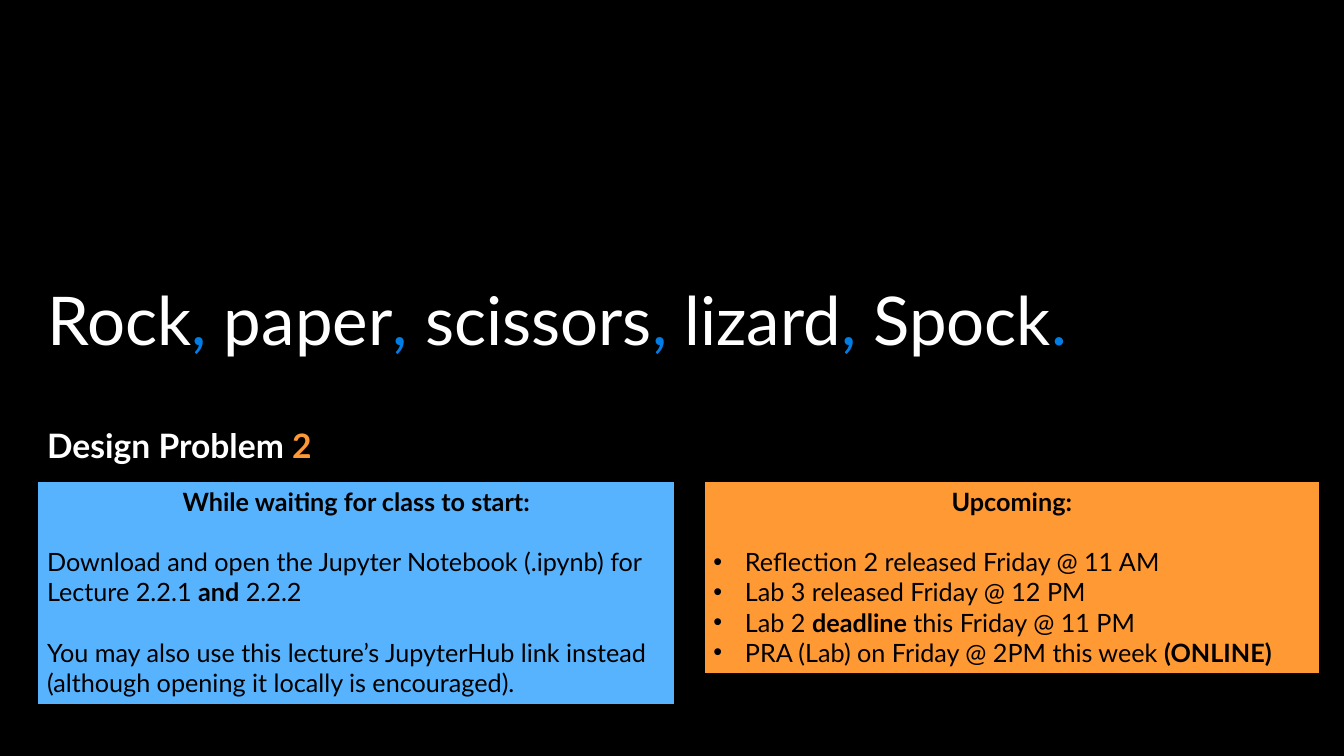
import dataclasses
import typing

import pptx
import pptx.dml.color
import pptx.enum.shapes
import pptx.enum.text
import pptx.oxml.ns
import pptx.util
from lxml import etree

Pt = pptx.util.Pt
Align = pptx.enum.text.PP_ALIGN
Anchor = pptx.enum.text.MSO_ANCHOR

HUES = {
    "black": "000000",
    "white": "FFFFFF",
    "mark": "017EE5",
    "orange": "FF9933",
    "blue": "58B3FE",
}
FRAME = {"word_wrap": True, "auto_size": pptx.enum.text.MSO_AUTO_SIZE.NONE}
GAP = 21.6
INDENT = 22.5


@dataclasses.dataclass(frozen=True)
class Piece:
    text: str
    hue: str = "black"
    bold: bool = False


@dataclasses.dataclass(frozen=True)
class Line:
    pieces: list[Piece]
    align: Align = Align.LEFT
    before: float = 0
    bullet: bool = False


@dataclasses.dataclass(frozen=True)
class Panel:
    left: float
    width: float
    height: float
    fill: str
    lines: list[Line]


def shade(name: str) -> pptx.dml.color.RGBColor:
    return pptx.dml.color.RGBColor.from_string(HUES[name])


def apply(thing: typing.Any, values: dict[str, typing.Any]) -> None:
    for key, value in values.items():
        setattr(thing, key, value)


def place(shape: typing.Any, left: float, top: float, width: float, height: float) -> None:
    apply(shape, {"left": Pt(left), "top": Pt(top), "width": Pt(width), "height": Pt(height)})


def add_bullet(para: typing.Any) -> None:
    props = para._p.get_or_add_pPr()
    for key, value in {"marL": INDENT, "indent": -INDENT}.items():
        props.set(key, str(int(Pt(value))))
    for tag, key, value in (("a:buFont", "typeface", "Arial"), ("a:buChar", "char", "•")):
        etree.SubElement(props, pptx.oxml.ns.qn(tag)).set(key, value)


def write(frame: typing.Any, lines: list[Line], size: float, space: float, anchor: Anchor) -> None:
    apply(frame, FRAME | {"vertical_anchor": anchor})
    for index, line in enumerate(lines):
        para = frame.add_paragraph() if index else frame.paragraphs[0]
        if line.bullet:
            add_bullet(para)
        apply(para, {"alignment": line.align, "line_spacing": space, "space_before": Pt(line.before)})
        for piece in line.pieces:
            run = para.add_run()
            run.text = piece.text
            apply(run.font, {"name": "Lato", "size": Pt(size), "bold": piece.bold})
            run.font.color.rgb = shade(piece.hue)


def draw_panel(slide: typing.Any, panel: Panel) -> None:
    kind = pptx.enum.shapes.MSO_SHAPE.RECTANGLE
    box = slide.shapes.add_shape(kind, 0, 0, 0, 0)
    place(box, panel.left, 343.5, panel.width, panel.height)
    box.shadow.inherit = False
    box.fill.solid()
    box.fill.fore_color.rgb = shade(panel.fill)
    box.line.color.rgb = shade("black")
    box.line.width = Pt(1.5)
    write(box.text_frame, panel.lines, 18, 1.0, Anchor.TOP)


def head(text: str) -> Line:
    return Line([Piece(text, bold=True)], Align.CENTER)


def item(*pieces: Piece, before: float = 0) -> Line:
    return Line(list(pieces), before=before, bullet=True)


TITLE = [
    piece
    for word, stop in zip(["Rock", " paper", " scissors", " lizard", " Spock"], ",,,,.")
    for piece in (Piece(word, "white"), Piece(stop, "mark"))
]
TOPIC = [Piece("Design Problem ", "white", True), Piece("2", "orange", True)]
PANELS = [
    Panel(502.5, 440.6, 138.2, "orange", [
        head("Upcoming:"),
        item(Piece("Reflection 2 released Friday @ 11 AM"), before=GAP),
        item(Piece("Lab 3 released Friday @ 12 PM")),
        item(Piece("Lab 2 "), Piece("deadline ", bold=True), Piece("this Friday @ 11 PM")),
        item(Piece("PRA (Lab) on Friday @ 2PM this week "), Piece("(ONLINE)", bold=True)),
    ]),
    Panel(26.6, 455.8, 159.8, "blue", [
        head("While waiting for class to start:"),
        Line([
            Piece("Download and open the Jupyter Notebook (.ipynb) for Lecture 2.2.1 "),
            Piece("and", bold=True),
            Piece(" 2.2.2"),
        ], before=GAP),
        Line([
            Piece("You may also use this lecture’s JupyterHub link instead "
                  "(although opening it locally is encouraged)."),
        ], before=GAP),
    ]),
]


def main() -> None:
    deck = pptx.Presentation()
    apply(deck, {"slide_width": Pt(960), "slide_height": Pt(540)})
    slide = deck.slides.add_slide(deck.slide_layouts[5])
    slide.background.fill.solid()
    slide.background.fill.fore_color.rgb = shade("black")
    title = slide.shapes.title
    place(title, 26.6, 190, 897, 70.6)
    write(title.text_frame, [Line(TITLE)], 48, 0.9, Anchor.BOTTOM)
    topic = slide.shapes.add_textbox(0, 0, 0, 0)
    place(topic, 26.6, 303, 897, 130.3)
    write(topic.text_frame, [Line(TOPIC)], 24, 0.9, Anchor.TOP)
    for panel in PANELS:
        draw_panel(slide, panel)
    deck.save("out.pptx")


if __name__ == "__main__":
    main()
